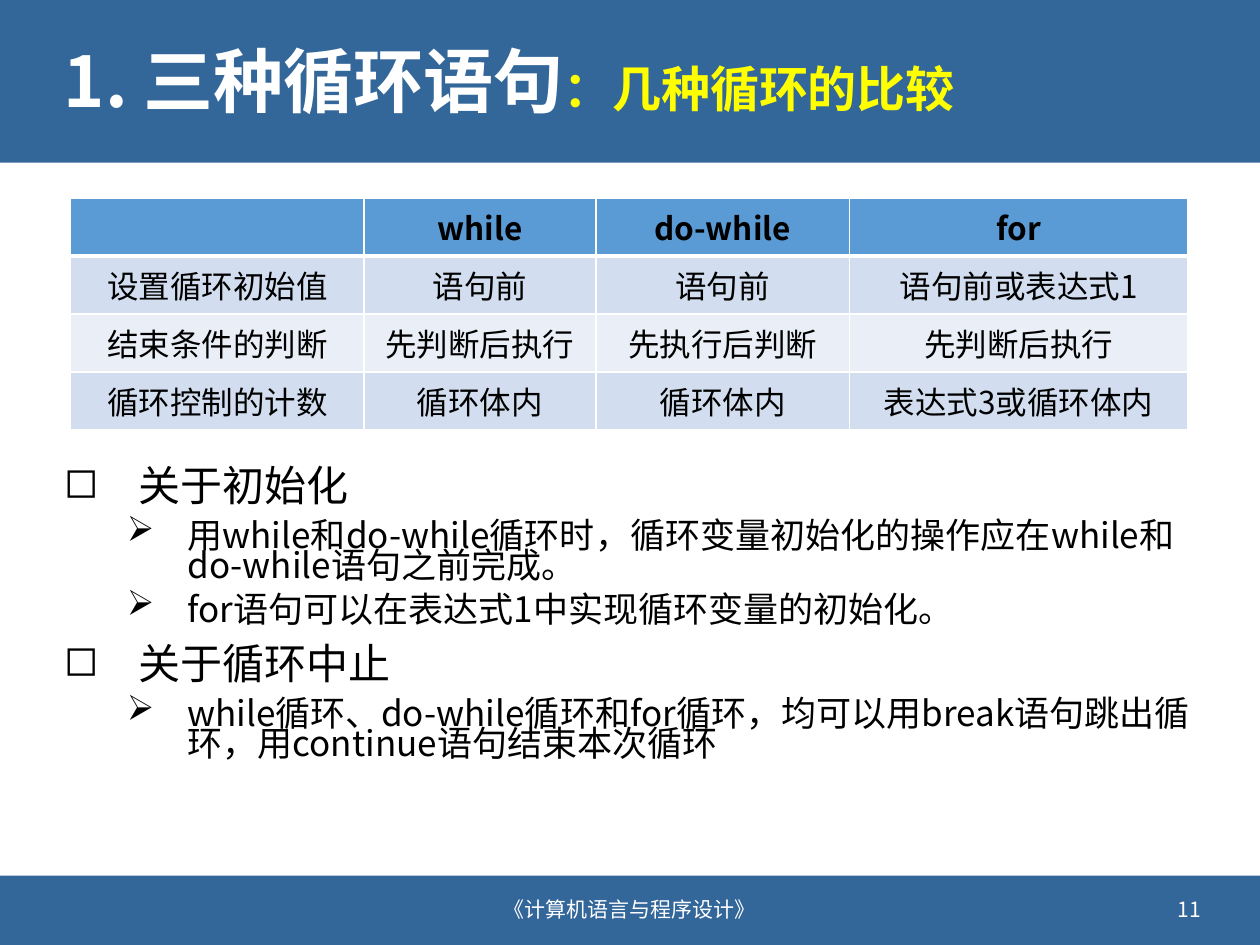
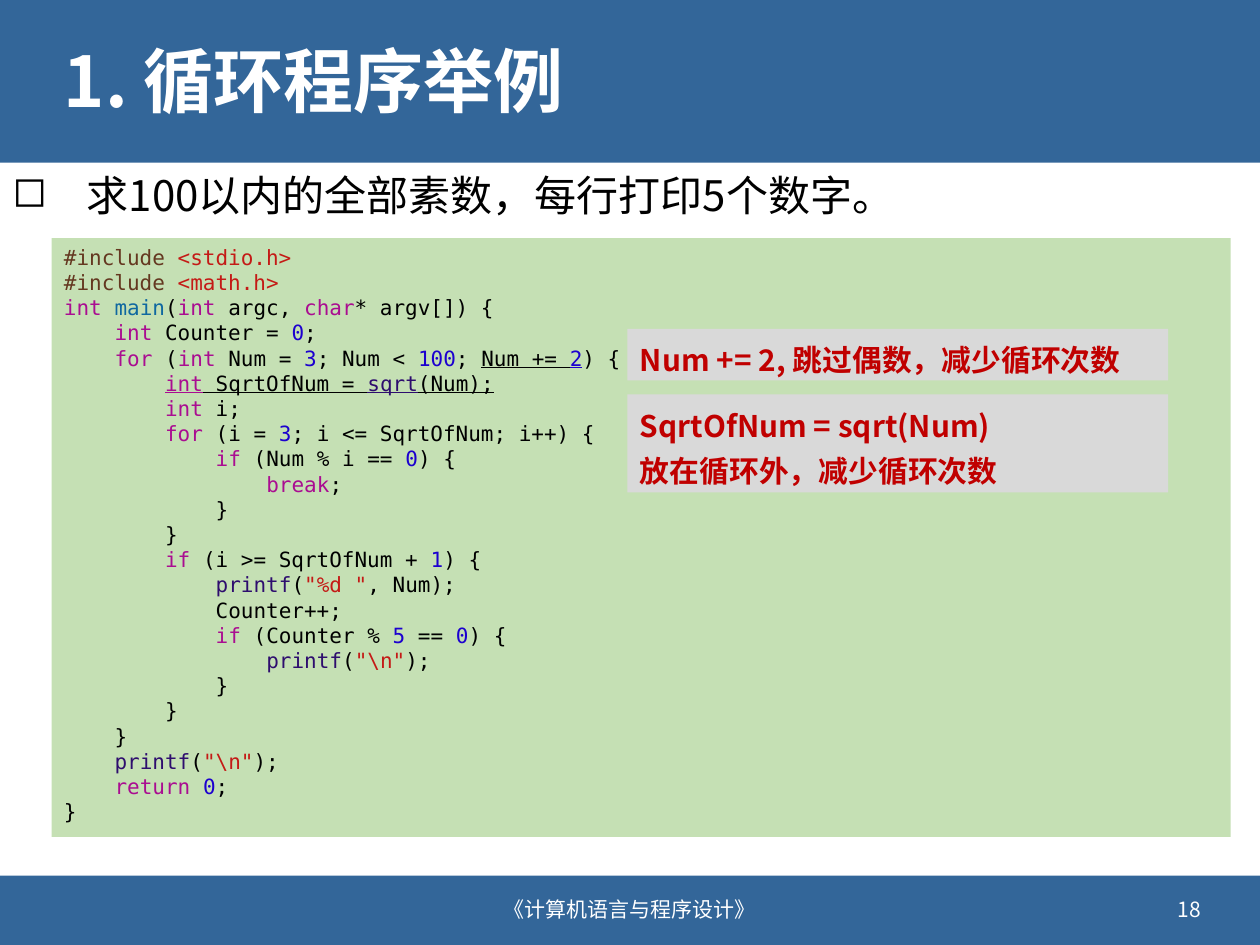
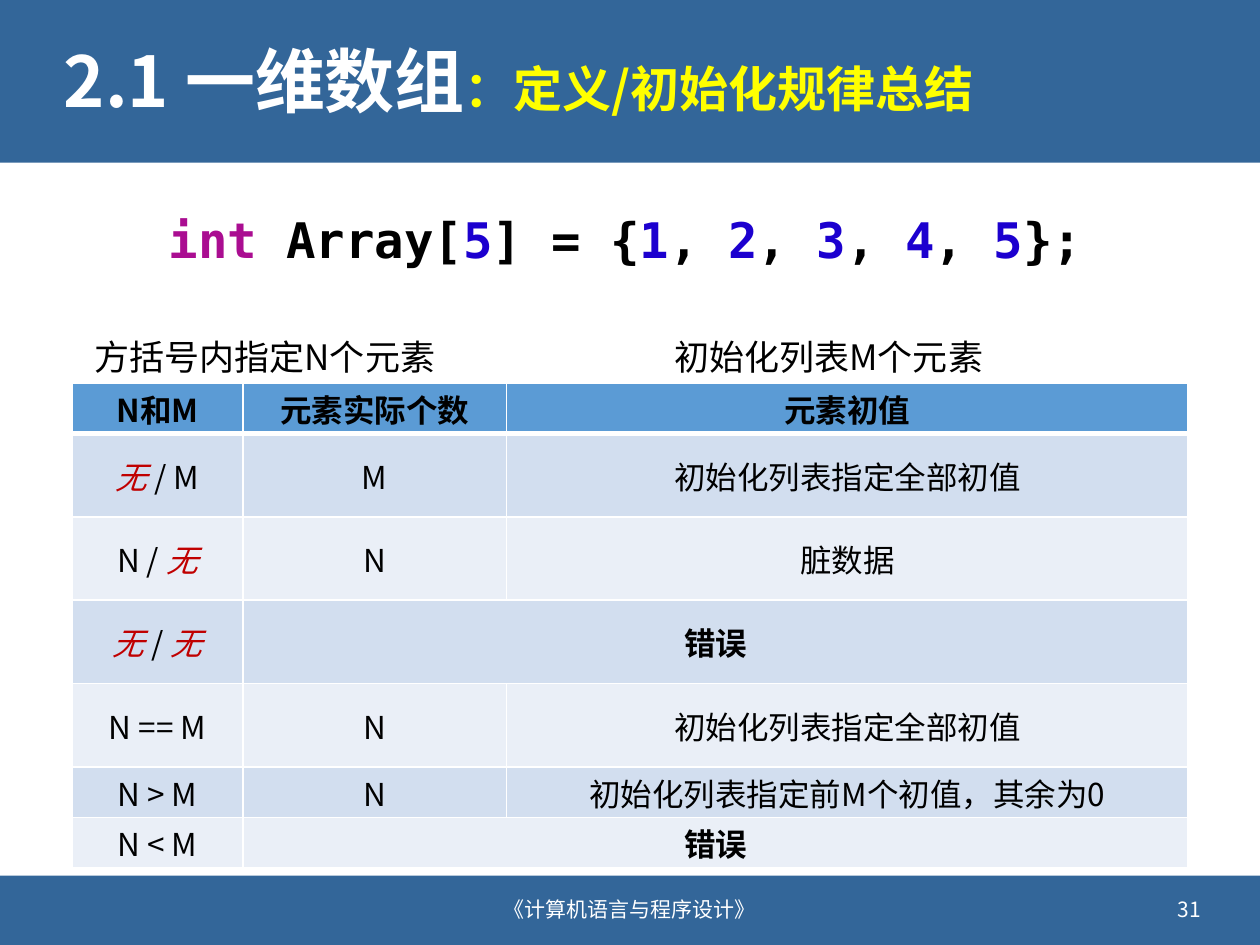
from dataclasses import dataclass
from itertools import groupby

from lxml import etree
from pptx import Presentation
from pptx.dml.color import RGBColor
from pptx.enum import shapes, text
from pptx.oxml import ns
from pptx.util import Cm, Pt


@dataclass(frozen=True)
class Theme:
    sans: str = "Noto Sans CJK SC"
    mono: str = "DejaVu Sans Mono"
    # colours
    band: str = "336699"
    white: str = "FFFFFF"
    black: str = "000000"
    subtitle: str = "FFFF00"
    accent: str = "C00000"
    header_row: str = "5B9BD5"
    odd_row: str = "D2DEEF"
    even_row: str = "EAEFF7"
    code_panel: str = "C5E0B4"
    callout: str = "D9D9D9"
    keyword: str = "AA0D91"
    number: str = "1C00CF"
    literal: str = "C41A16"
    directive: str = "643820"
    entry: str = "0F68A0"
    library: str = "2E0D6E"
    # type sizes
    title_size: int = 40
    subtitle_size: int = 28
    heading_size: int = 24
    point_size: int = 20
    table_size: int = 18
    callout_size: int = 17
    small_size: int = 12


T = Theme()
MIDDLE = text.MSO_ANCHOR.MIDDLE
CENTER, RIGHT = text.PP_ALIGN.CENTER, text.PP_ALIGN.RIGHT
COURSE = "《计算机语言与程序设计》"

WORD_COLORS = {
    **dict.fromkeys(("int", "char", "for", "if", "break", "return"), T.keyword),
    **dict.fromkeys(("sqrt", "printf"), T.library),
    "main": T.entry,
}

# A tilde switches underlining on and off
PRIME_PROGRAM = r"""#include <stdio.h>
#include <math.h>
int main(int argc, char* argv[]) {
    int Counter = 0;
    for (int Num = 3; Num < 100; ~Num += 2~) {
        ~int SqrtOfNum = sqrt(Num);~
        int i;
        for (i = 3; i <= SqrtOfNum; i++) {
            if (Num % i == 0) {
                break;
            }
        }
        if (i >= SqrtOfNum + 1) {
            printf("%d ", Num);
            Counter++;
            if (Counter % 5 == 0) {
                printf("\n");
            }
        }
    }
    printf("\n");
    return 0;
}"""


# ---- text ----
def style(run, size, color=T.black, font=T.sans, bold=False, italic=False,
          underline=False):
    run.font.size, run.font.name = Pt(size), font
    run.font.bold, run.font.italic = bold, italic
    run.font.underline = underline
    run.font.color.rgb = RGBColor.from_string(color)
    east_asian = etree.SubElement(run.font._element, ns.qn("a:ea"))
    east_asian.set("typeface", font)


def write(paragraph, pieces, size, **base):
    """Fill a paragraph from a string or from (text, style changes) pairs."""
    if isinstance(pieces, str):
        pieces = [(pieces, {})]
    for words, changes in pieces:
        run = paragraph.add_run()
        run.text = words
        style(run, **{"size": size, **base, **changes})


def paragraphs(frame, lines):
    """Yield one paragraph of the frame for each line."""
    for index, line in enumerate(lines):
        yield (frame.add_paragraph() if index else frame.paragraphs[0]), line


def text_box(slide, left, top, width, height, anchor=text.MSO_ANCHOR.TOP,
             wrap=True):
    frame = slide.shapes.add_textbox(
        Cm(left), Cm(top), Cm(width), Cm(height)).text_frame
    frame.word_wrap, frame.vertical_anchor = wrap, anchor
    return frame


def label(slide, box, words, size, align=None, anchor=text.MSO_ANCHOR.TOP,
          wrap=True, **base):
    paragraph = text_box(slide, *box, anchor, wrap).paragraphs[0]
    paragraph.alignment = align
    write(paragraph, words, size, **base)
    return paragraph


def indent(paragraph, left, first=0.0):
    properties = paragraph._p.get_or_add_pPr()
    properties.set("marL", str(Cm(left)))
    properties.set("indent", str(Cm(first)))
    return properties


def bullet(paragraph, symbol, left, first):
    properties = indent(paragraph, left, first)
    color = etree.SubElement(properties, ns.qn("a:buClr"))
    etree.SubElement(color, ns.qn("a:srgbClr")).set("val", T.black)
    etree.SubElement(properties, ns.qn("a:buChar")).set("char", symbol)


def outline(slide, box, items):
    """Write (level, text) items as headings and points."""
    for paragraph, (level, words) in paragraphs(text_box(slide, *box), items):
        paragraph.space_before = Pt(8.5)
        paragraph.line_spacing = 0.7 if level else 0.9
        if level:
            bullet(paragraph, "➢", 2.49, -1.22)
        else:
            bullet(paragraph, "◻", 1.5, -1.5)
        write(paragraph, words, T.point_size if level else T.heading_size)


# ---- shapes ----
def panel(slide, left, top, width, height, fill):
    rectangle = slide.shapes.add_shape(
        shapes.MSO_SHAPE.RECTANGLE, Cm(left), Cm(top), Cm(width), Cm(height))
    rectangle.shadow.inherit = False
    rectangle.fill.solid()
    rectangle.fill.fore_color.rgb = RGBColor.from_string(fill)
    rectangle.line.fill.background()
    frame = rectangle.text_frame
    frame.word_wrap, frame.vertical_anchor = True, text.MSO_ANCHOR.TOP
    return frame


def callout(slide, box, lines):
    for paragraph, line in paragraphs(panel(slide, *box, T.callout), lines):
        paragraph.alignment = text.PP_ALIGN.LEFT
        paragraph.line_spacing, paragraph.space_before = 1.2, Pt(1)
        write(paragraph, line, T.callout_size, color=T.accent, bold=True)


# ---- source code ----
def word_color(word):
    return T.number if word.isdigit() else WORD_COLORS.get(word, T.black)


def highlight(line):
    """Split a line of C into pieces, each with its colour."""
    if line.startswith("#"):
        directive, header = line.split("<")
        return [(directive, {"color": T.directive}),
                ("<" + header, {"color": T.literal})]
    tokens = []
    for marked, section in enumerate(line.split("~")):
        for quoted, part in enumerate(section.split('"')):
            if quoted % 2:
                tokens.append((f'"{part}"', T.literal, False))
                continue
            for _, letters in groupby(part, str.isalnum):
                word = "".join(letters)
                tokens.append((word, word_color(word), marked % 2 == 1))
    return [("".join(token[0] for token in group),
             {"color": color, "underline": underline})
            for (color, underline), group in groupby(tokens, lambda t: t[1:])]


def code_listing(slide, box, program):
    frame = panel(slide, *box, T.code_panel)
    for paragraph, line in paragraphs(frame, program.splitlines()):
        statement = line.lstrip()
        depth = (len(line) - len(statement)) // 4
        paragraph.alignment = text.PP_ALIGN.LEFT
        indent(paragraph, 1.02 * depth)
        write(paragraph, highlight(statement), T.small_size, font=T.mono)


# ---- tables ----
def cell_borders(cell, bottom):
    properties = cell._tc.get_or_add_tcPr()
    for index, (side, width) in enumerate(
            (("lnL", 1), ("lnR", 1), ("lnT", 1), ("lnB", bottom))):
        line = etree.Element(ns.qn(f"a:{side}"), w=str(Pt(width)))
        fill = etree.SubElement(line, ns.qn("a:solidFill"))
        etree.SubElement(fill, ns.qn("a:srgbClr")).set("val", T.white)
        properties.insert(index, line)


def comparison_table(slide, left, top, columns, heights, rows):
    """Draw rows of text; None joins a cell to the one on its left."""
    table = slide.shapes.add_table(
        len(rows), len(columns), Cm(left), Cm(top),
        Cm(sum(columns)), Cm(sum(heights))).table
    for column, width in zip(table.columns, columns):
        column.width = Cm(width)
    for r, (row, height) in enumerate(zip(rows, heights)):
        table.rows[r].height = Cm(height)
        row_fill = (T.odd_row if r % 2 else T.even_row) if r else T.header_row
        for c, words in enumerate(row):
            cell = table.cell(r, c)
            cell.fill.solid()
            cell.fill.fore_color.rgb = RGBColor.from_string(row_fill)
            cell.margin_top = cell.margin_bottom = Cm(0.05)
            cell.vertical_anchor = MIDDLE
            cell_borders(cell, 1 if r else 3)
            if words is None:
                table.cell(r, c - 1).merge(cell)
            elif words:
                paragraph = cell.text_frame.paragraphs[0]
                paragraph.alignment = CENTER
                write(paragraph, words, T.table_size, bold=r == 0)


# ---- shared slide frame ----
def course_slide(deck, number, topic, subtopic=""):
    slide = deck.slides.add_slide(deck.slide_layouts[6])
    panel(slide, 0, 0, 25.4, 3.28, T.band)
    panel(slide, 0, 17.65, 25.4, 1.4, T.band)
    heading = [(topic, {})]
    if subtopic:
        heading.append((subtopic, {"size": T.subtitle_size,
                                   "color": T.subtitle}))
    title = label(slide, (1.04, 0.46, 23.34, 2.51), heading, T.title_size,
                  anchor=MIDDLE, color=T.white, bold=True)
    title.line_spacing = 0.9
    label(slide, (8.13, 17.81, 9.14, 1.02), COURSE, T.small_size, CENTER,
          MIDDLE, color=T.white)
    label(slide, (18.36, 17.81, 6.1, 1.02), str(number), T.small_size, RIGHT,
          MIDDLE, color=T.white)
    return slide


# ---- slides ----
def loop_comparison(deck):
    slide = course_slide(deck, 11, "1. 三种循环语句", "：几种循环的比较")
    comparison_table(slide, 1.42, 3.99, (5.92, 4.67, 5.11, 6.83), [1.17] * 4, [
        ("", "while", "do-while", "for"),
        ("设置循环初始值", "语句前", "语句前", "语句前或表达式1"),
        ("结束条件的判断", "先判断后执行", "先执行后判断", "先判断后执行"),
        ("循环控制的计数", "循环体内", "循环体内", "表达式3或循环体内"),
    ])
    outline(slide, (1.04, 9.25, 23.34, 7.5), [
        (0, "关于初始化"),
        (1, "用while和do-while循环时，循环变量初始化的操作应在while和"
            "do-while语句之前完成。"),
        (1, "for语句可以在表达式1中实现循环变量的初始化。"),
        (0, "关于循环中止"),
        (1, "while循环、do-while循环和for循环，均可以用break语句跳出循环，"
            "用continue语句结束本次循环"),
    ])


def prime_example(deck):
    slide = course_slide(deck, 18, "1. 循环程序举例")
    outline(slide, (0, 3.4, 23.34, 1.4),
            [(0, "求100以内的全部素数，每行打印5个数字。")])
    code_listing(slide, (1.04, 4.8, 23.77, 12.07), PRIME_PROGRAM)
    callout(slide, (12.65, 6.63, 10.9, 1.04),
            ["Num += 2, 跳过偶数，减少循环次数"])
    callout(slide, (12.65, 7.95, 10.9, 1.98),
            ["SqrtOfNum = sqrt(Num)", "放在循环外，减少循环次数"])


def array_rules(deck):
    slide = course_slide(deck, 31, "2.1 一维数组", "：定义/初始化规律总结")
    label(slide, (3.15, 4.09, 19.15, 1.45),
          highlight("int Array[5] = {1, 2, 3, 4, 5};"), T.subtitle_size,
          wrap=False, font=T.mono, bold=True)
    label(slide, (1.65, 6.63, 10.95, 1.12), "方括号内指定N个元素", T.point_size)
    label(slide, (13.34, 6.63, 9.47, 1.12), "初始化列表M个元素", T.point_size)

    absent = ("无", {"color": T.accent, "italic": True})
    error = [("错误", {"bold": True})]
    short, tall = 1.02, 1.68
    comparison_table(
        slide, 1.45, 7.72, (3.45, 5.31, 13.74),
        [short] + [tall] * 4 + [short] * 2, [
            ("N和M", "元素实际个数", "元素初值"),
            ([absent, (" / M", {})], "M", "初始化列表指定全部初值"),
            ([("N / ", {}), absent], "N", "脏数据"),
            ([absent, (" / ", {}), absent], error, None),
            ("N == M", "N", "初始化列表指定全部初值"),
            ("N > M", "N", "初始化列表指定前M个初值，其余为0"),
            ("N < M", error, None),
        ])


def main():
    deck = Presentation()
    deck.slide_width, deck.slide_height = Cm(25.4), Cm(19.05)
    loop_comparison(deck)
    prime_example(deck)
    array_rules(deck)
    deck.save("out.pptx")


if __name__ == "__main__":
    main()
